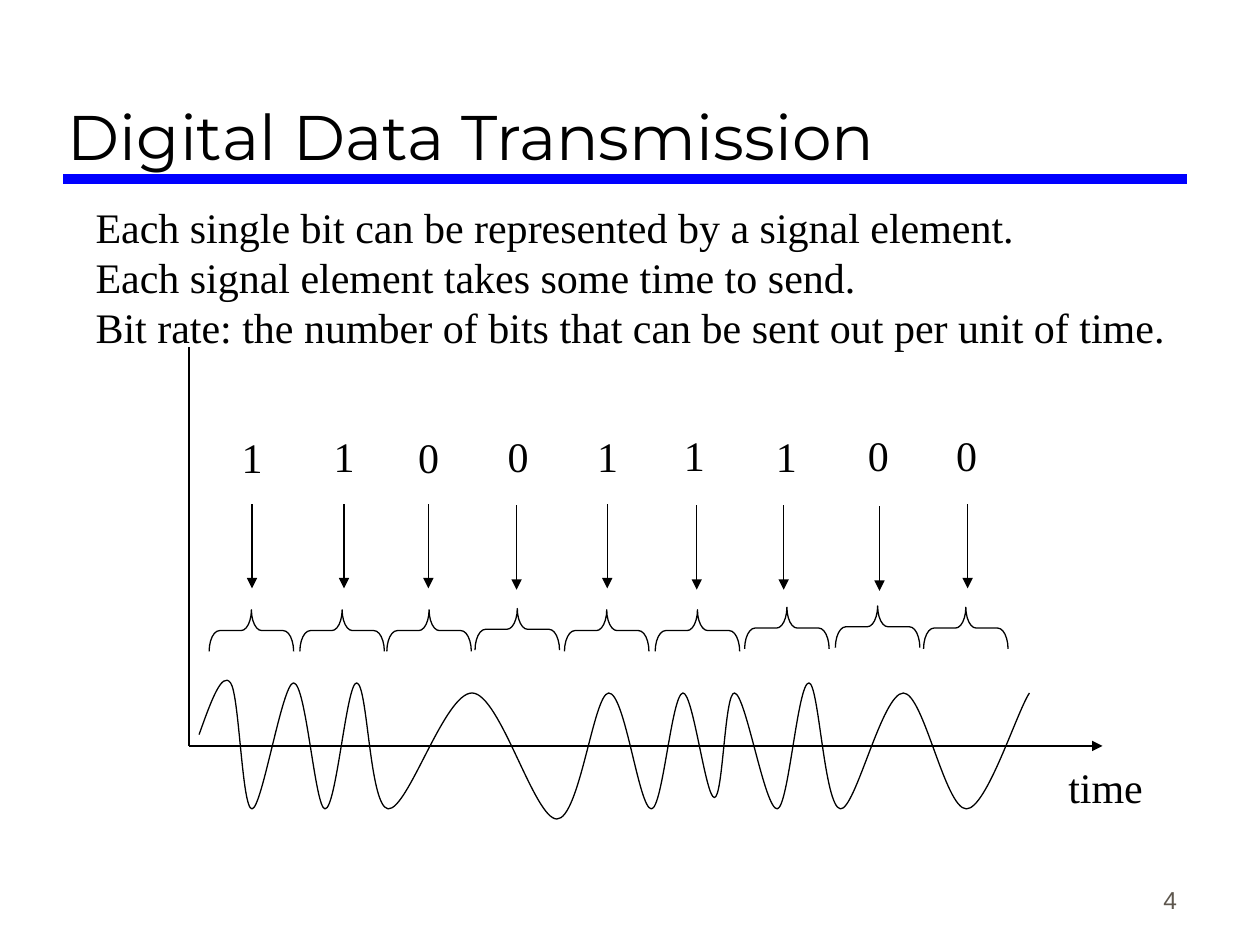
from dataclasses import dataclass

from lxml.etree import SubElement
from pptx import Presentation
from pptx.dml.color import RGBColor
from pptx.enum.shapes import MSO_CONNECTOR, MSO_SHAPE
from pptx.enum.text import MSO_ANCHOR, PP_ALIGN
from pptx.oxml.ns import qn
from pptx.shapes.autoshape import Shape
from pptx.slide import Slide
from pptx.util import Inches, Pt

BLACK = "000000"
SERIF = "Times New Roman"
BRACE_WIDTH, BRACE_LENGTH = 0.33, 0.67
ARROW_LENGTH = 0.67


@dataclass
class Bit:
    value: str
    label_left: float
    label_top: float
    arrow_x: float
    arrow_top: float
    brace_left: float
    brace_top: float


@dataclass
class TextStyle:
    size: float = 24
    font: str = SERIF
    color: str = BLACK
    anchor: MSO_ANCHOR = MSO_ANCHOR.TOP
    align: PP_ALIGN = PP_ALIGN.LEFT
    wrap: bool = False
    line_spacing: float | Pt = Pt(28.6)


BITS = [
    Bit("1", 1.82, 3.38, 2.00, 4.00, 1.83, 4.67),
    Bit("1", 2.55, 3.37, 2.73, 4.00, 2.55, 4.67),
    Bit("0", 3.22, 3.38, 3.40, 4.00, 3.24, 4.67),
    Bit("0", 3.93, 3.37, 4.10, 4.01, 3.94, 4.66),
    Bit("1", 4.64, 3.37, 4.82, 4.00, 4.65, 4.67),
    Bit("1", 5.33, 3.36, 5.53, 4.01, 5.37, 4.67),
    Bit("1", 6.06, 3.37, 6.22, 4.01, 6.08, 4.65),
    Bit("0", 6.79, 3.36, 6.98, 4.02, 6.80, 4.64),
    Bit("0", 7.49, 3.36, 7.68, 4.00, 7.50, 4.65),
]

WAVE_START = (1.58, 5.83)
WAVE_CURVES = [
    ((1.67, 5.58), (1.76, 5.32), (1.83, 5.42)),
    ((1.90, 5.51), (1.92, 6.42), (2.00, 6.42)),
    ((2.08, 6.42), (2.24, 5.42), (2.33, 5.42)),
    ((2.43, 5.42), (2.50, 6.42), (2.58, 6.42)),
    ((2.67, 6.42), (2.75, 5.42), (2.83, 5.42)),
    ((2.92, 5.42), (2.93, 6.40), (3.08, 6.42)),
    ((3.24, 6.43), (3.53, 5.49), (3.75, 5.50)),
    ((3.97, 5.51), (4.24, 6.50), (4.42, 6.50)),
    ((4.60, 6.50), (4.71, 5.51), (4.83, 5.50)),
    ((4.96, 5.49), (5.07, 6.42), (5.17, 6.42)),
    ((5.26, 6.42), (5.33, 5.51), (5.42, 5.50)),
    ((5.50, 5.49), (5.60, 6.33), (5.67, 6.33)),
    ((5.74, 6.33), (5.75, 5.49), (5.83, 5.50)),
    ((5.92, 5.51), (6.07, 6.43), (6.17, 6.42)),
    ((6.26, 6.40), (6.33, 5.42), (6.42, 5.42)),
    ((6.50, 5.42), (6.54, 6.40), (6.67, 6.42)),
    ((6.79, 6.43), (7.00, 5.50), (7.17, 5.50)),
    ((7.33, 5.50), (7.50, 6.42), (7.67, 6.42)),
    ((7.83, 6.42), (8.07, 5.65), (8.17, 5.50)),
]


def rgb(color: str) -> RGBColor:
    return RGBColor.from_string(color)


def add_text(slide: Slide, text: str, left: float, top: float,
             width: float, height: float, style: TextStyle) -> None:
    shape = slide.shapes.add_textbox(
        Inches(left), Inches(top), Inches(width), Inches(height))
    text_frame = shape.text_frame
    text_frame.text = text
    text_frame.word_wrap = style.wrap
    text_frame.vertical_anchor = style.anchor
    for paragraph in text_frame.paragraphs:
        paragraph.alignment = style.align
        paragraph.line_spacing = style.line_spacing
        for run in paragraph.runs:
            run.font.name = style.font
            run.font.size = Pt(style.size)
            run.font.color.rgb = rgb(style.color)


def add_line(slide: Slide, start: tuple[float, float], end: tuple[float, float],
             weight: float = 0.75, color: str = BLACK, arrow: bool = False) -> None:
    connector = slide.shapes.add_connector(
        MSO_CONNECTOR.STRAIGHT, *map(Inches, start), *map(Inches, end))
    connector.line.width = Pt(weight)
    connector.line.color.rgb = rgb(color)
    if arrow:
        SubElement(connector.line._get_or_add_ln(), qn("a:tailEnd"), type="triangle")
    SubElement(connector._element.spPr, qn("a:effectLst"))


def style_outline(shape: Shape) -> None:
    shape.shadow.inherit = False
    shape.fill.background()
    shape.line.color.rgb = rgb(BLACK)
    shape.line.width = Pt(0.75)


def add_brace(slide: Slide, left: float, top: float) -> None:
    brace = slide.shapes.add_shape(
        MSO_SHAPE.LEFT_BRACE, Inches(left), Inches(top),
        Inches(BRACE_WIDTH), Inches(BRACE_LENGTH))
    brace.adjustments[0] = 0.25
    brace.rotation = 90
    style_outline(brace)


def add_wave(slide: Slide) -> None:
    points = [tuple(map(Inches, point)) for curve in WAVE_CURVES for point in curve]
    builder = slide.shapes.build_freeform(*map(Inches, WAVE_START))
    builder.add_line_segments(points, close=False)
    wave = builder.convert_to_shape()
    outline = next(wave._element.iter(qn("a:pathLst")))[0]
    segments = outline.findall(qn("a:lnTo"))
    for first in range(0, len(segments), 3):
        curve = SubElement(outline, qn("a:cubicBezTo"))
        for segment in segments[first:first + 3]:
            curve.append(segment[0])
            outline.remove(segment)
    style_outline(wave)


def main() -> None:
    presentation = Presentation()
    presentation.slide_width = Inches(10)
    presentation.slide_height = Inches(7.5)
    slide = presentation.slides.add_slide(presentation.slide_layouts[6])

    body = TextStyle()
    title = TextStyle(36, "Montserrat", anchor=MSO_ANCHOR.BOTTOM, wrap=True,
                      line_spacing=1.0)
    number = TextStyle(14, "Arial", "5E574E", MSO_ANCHOR.BOTTOM,
                       PP_ALIGN.RIGHT, True, line_spacing=1.0)

    add_line(slide, (0.5, 1.42), (9.42, 1.42), 6, "0000FF")
    add_text(slide, "4", 7.36, 6.81, 2.08, 0.5, number)
    add_text(slide, "Digital Data Transmission", 0.44, 0.17, 8.97, 1.25, title)

    add_line(slide, (1.5, 5.92), (8.75, 5.92), 1, arrow=True)
    add_text(slide, "time", 8.38, 6, 0.79, 0.5, body)
    add_line(slide, (1.5, 5.92), (1.5, 2.75))
    add_wave(slide)

    for bit in BITS:
        add_text(slide, bit.value, bit.label_left, bit.label_top, 0.36, 0.5, body)
    for bit in BITS:
        add_line(slide, (bit.arrow_x, bit.arrow_top),
                 (bit.arrow_x, bit.arrow_top + ARROW_LENGTH), arrow=True)
    for bit in BITS:
        add_brace(slide, bit.brace_left, bit.brace_top)

    statements = [
        "Each single bit can be represented by a signal element.",
        "Each signal element takes some time to send.",
        "Bit rate: the number of bits that can be sent out per unit of time.",
    ]
    add_text(slide, "\n".join(statements), 0.66, 1.55, 8.69, 1.3, body)
    presentation.save("out.pptx")


if __name__ == "__main__":
    main()
